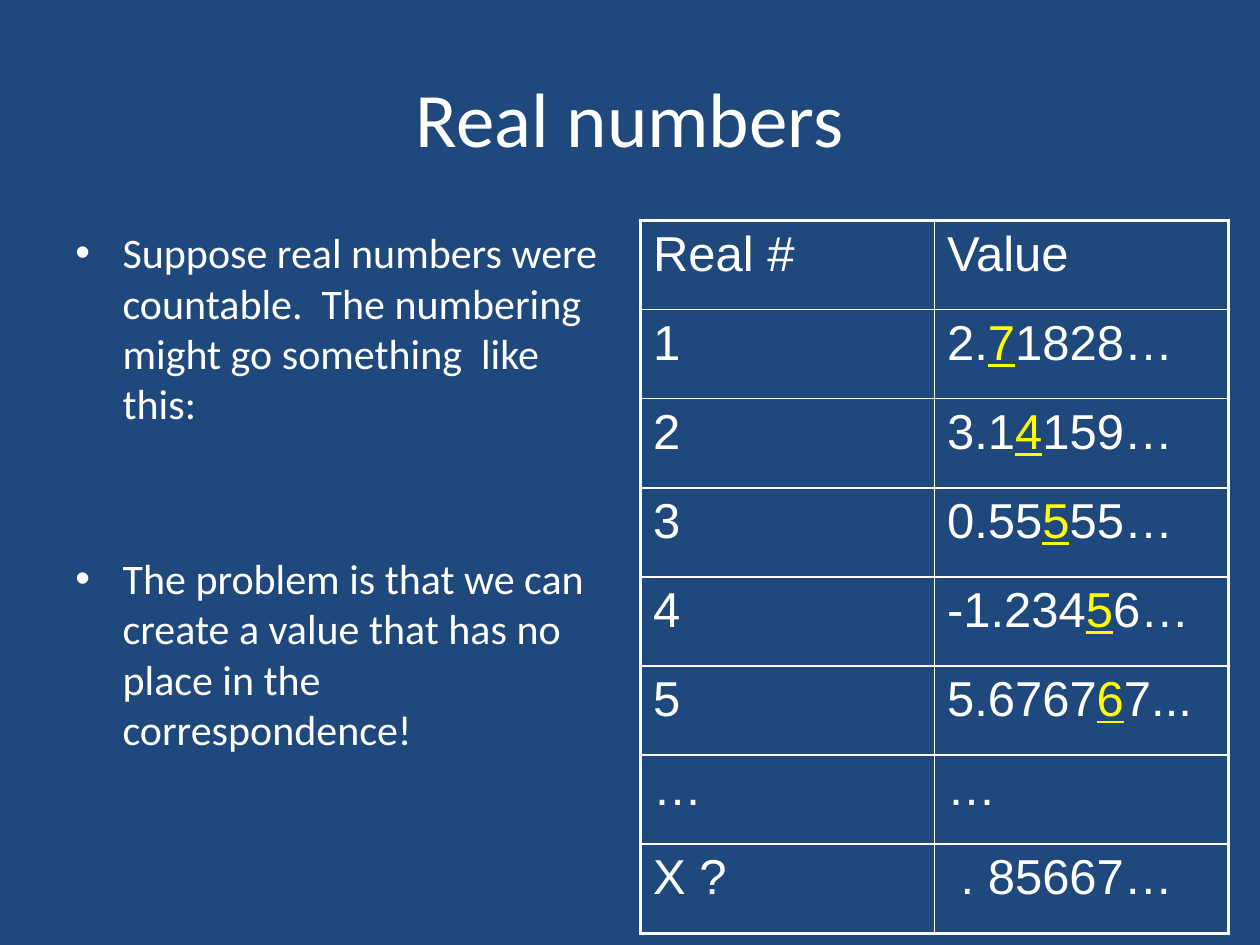
from lxml import etree
from pptx import Presentation
from pptx import util as u
from pptx.dml.color import RGBColor
from pptx.enum import text
from pptx.oxml import ns

COLOURS = {"navy": "1F497D", "white": "FFFFFF", "yellow": "FFFF00"}


class SlideBuilder:
    """Holds the style and the current slide."""

    heading_font = "Calibri"
    table_font = "Arial"
    outer_line = 2.25
    inner_line = 1

    def __init__(self, page):
        self.page = page
        page.background.fill.solid()
        page.background.fill.fore_color.rgb = RGBColor.from_string(COLOURS["navy"])

    def span(self, para, words, size, font, colour="white", underline=None):
        span = para.add_run()
        span.text = words
        span.font.size = u.Pt(size)
        span.font.name = font
        span.font.underline = underline
        span.font.color.rgb = RGBColor.from_string(COLOURS[colour])

    def frame(self, left, top, width, height):
        box = self.page.shapes.add_textbox(*map(u.Pt, (left, top, width, height)))
        box.text_frame.word_wrap = True
        return box.text_frame

    def title(self, words, *place):
        frame = self.frame(*place)
        frame.vertical_anchor = text.MSO_ANCHOR.MIDDLE
        para = frame.paragraphs[0]
        para.alignment = text.PP_ALIGN.CENTER
        self.span(para, words, 44, self.heading_font)

    def bullets(self, items, gap, *place):
        frame = self.frame(*place)
        for index, words in enumerate(items):
            para = frame.add_paragraph() if index else frame.paragraphs[0]
            props = para._p.get_or_add_pPr()
            props.set("marL", str(u.Pt(27)))
            props.set("indent", str(u.Pt(-27)))
            etree.SubElement(props, ns.qn("a:buFont"), typeface="Arial")
            etree.SubElement(props, ns.qn("a:buChar"), char="•")
            if index:
                para.space_before = u.Pt(gap)
            self.span(para, words, 24, self.heading_font)

    def border(self, cell, side, width):
        line = etree.SubElement(cell._tc.get_or_add_tcPr(), ns.qn("a:ln" + side),
                                w=str(u.Pt(width)))
        fill = etree.SubElement(line, ns.qn("a:solidFill"))
        etree.SubElement(fill, ns.qn("a:srgbClr"), val=COLOURS["white"])

    def table(self, rows, left, top, width, height):
        count, across = len(rows), len(rows[0])
        table = self.page.shapes.add_table(
            count, across, *map(u.Pt, (left, top, width, height))).table
        table.first_row = table.horz_banding = False
        for r, row in enumerate(rows):
            for c, parts in enumerate(row):
                cell = table.cell(r, c)
                edges = {"L": c == 0, "R": c == across - 1,
                         "T": r == 0, "B": r == count - 1}
                for side, outer in edges.items():
                    self.border(cell, side, self.outer_line if outer else self.inner_line)
                cell.fill.background()
                # The middle part of a split value is the marked digit
                for index, words in enumerate(parts):
                    marked = index == 1
                    self.span(cell.text_frame.paragraphs[0], words, 28, self.table_font,
                              "yellow" if marked else "white", marked)


def main():
    deck = Presentation()
    deck.slide_width, deck.slide_height = u.Pt(720), u.Pt(540)
    builder = SlideBuilder(deck.slides.add_slide(deck.slide_layouts[6]))

    # Title
    builder.title("Real numbers", 36, 21.6, 648, 90)

    # Argument on the left
    builder.bullets([
        "Suppose real numbers were countable.  The numbering might go something  like this:",
        "The problem is that we can create a value that has no place in the correspondence!",
    ], 71, 36, 126, 318, 356.4)

    # Numbered reals with the diagonal digits marked
    builder.table([
        (["Real #"], ["Value"]),
        (["1"], ["2.", "7", "1828…"]),
        (["2"], ["3.1", "4", "159…"]),
        (["3"], ["0.55", "5", "55…"]),
        (["4"], ["-1.234", "5", "6…"]),
        (["5"], ["5.6767", "6", "7..."]),
        (["…"], ["…"]),
        (["X ?"], [" . 85667…"]),
    ], 366, 126, 336, 407.5)

    deck.save("out.pptx")


if __name__ == "__main__":
    main()
